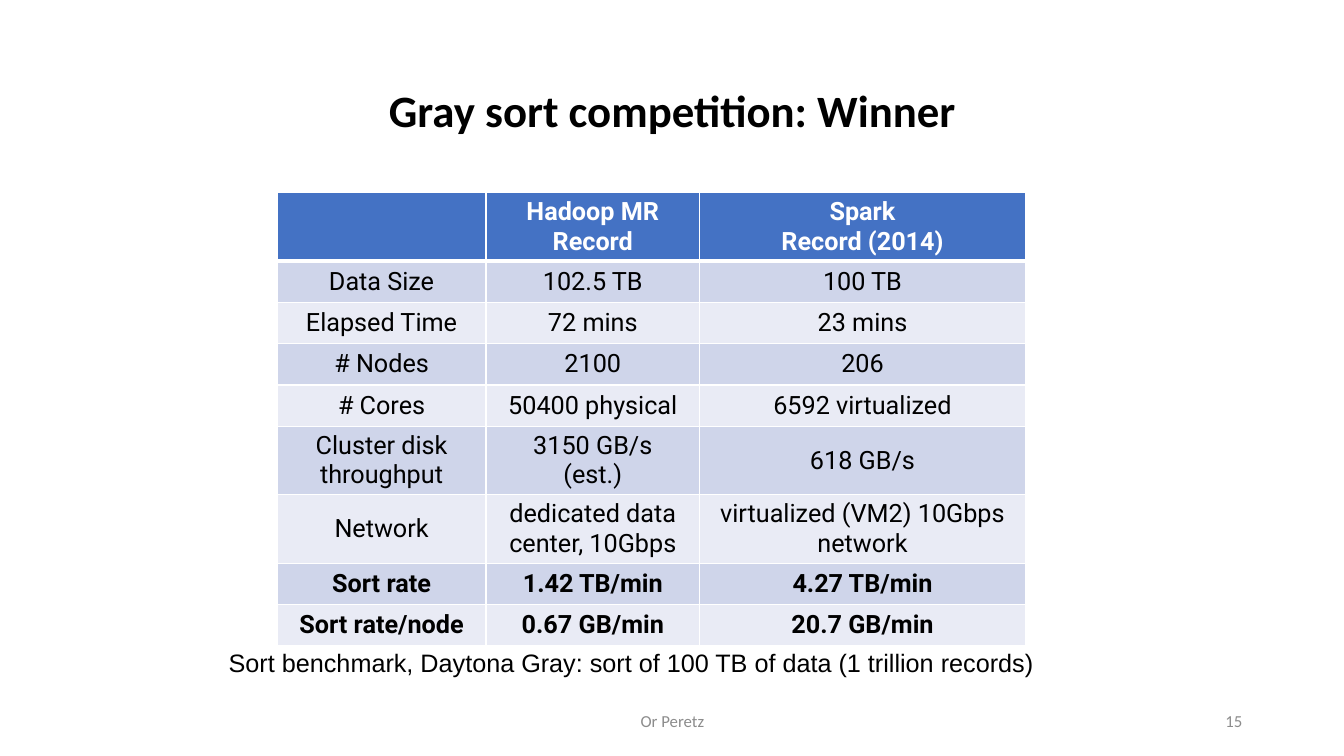
from dataclasses import dataclass

from lxml import etree
from pptx import Presentation
from pptx.dml.color import RGBColor
from pptx.enum import text
from pptx.oxml import ns
from pptx.util import Inches, Pt

BLACK = RGBColor(0x00, 0x00, 0x00)
WHITE = RGBColor(0xFF, 0xFF, 0xFF)
GRAY = RGBColor(0x8C, 0x8C, 0x8C)
HEADER_BLUE = RGBColor(0x44, 0x72, 0xC4)
BAND_FILLS = (RGBColor(0xCF, 0xD5, 0xEA), RGBColor(0xE9, 0xEB, 0xF5))

CENTER, LEFT, RIGHT = text.PP_ALIGN.CENTER, text.PP_ALIGN.LEFT, text.PP_ALIGN.RIGHT
MIDDLE, TOP = text.MSO_ANCHOR.MIDDLE, text.MSO_ANCHOR.TOP

COLUMN_WIDTHS = (2.07, 2.12, 3.23)
ONE_LINE, TWO_LINES = 0.41, 0.68
CELL_MARGIN = 0.04


@dataclass(frozen=True)
class Row:
    cells: tuple[str, str, str]
    height: float = ONE_LINE
    bold: bool = False


@dataclass(frozen=True)
class Label:
    content: str
    left: float
    top: float
    width: float
    size: int
    font_name: str
    color: RGBColor
    alignment: text.PP_ALIGN
    anchor: text.MSO_ANCHOR
    wrap: bool = True


ROWS = (
    Row(("", "Hadoop MR\nRecord", "Spark\nRecord (2014)"), TWO_LINES, True),
    Row(("Data Size", "102.5 TB", "100 TB")),
    Row(("Elapsed Time", "72 mins", "23 mins")),
    Row(("# Nodes", "2100", "206")),
    Row(("# Cores", "50400 physical", "6592 virtualized")),
    Row(("Cluster disk throughput", "3150 GB/s\n(est.)", "618 GB/s"), TWO_LINES),
    Row(("Network", "dedicated data center, 10Gbps",
         "virtualized (VM2) 10Gbps network"), TWO_LINES),
    Row(("Sort rate", "1.42 TB/min", "4.27 TB/min"), bold=True),
    Row(("Sort rate/node", "0.67 GB/min", "20.7 GB/min"), bold=True),
)

LABELS = (
    Label("Sort benchmark, Daytona Gray: sort of 100 TB of data (1 trillion records)",
          2.17, 6.37, 8.26, 18, "Arial", BLACK, LEFT, TOP, wrap=False),
    Label("15", 9.42, 6.95, 3, 12, "Calibri", GRAY, RIGHT, MIDDLE),
    Label("Or Peretz", 4.42, 6.95, 4.5, 12, "Calibri", GRAY, CENTER, MIDDLE),
)


def format_paragraph(paragraph, size: int, font_name: str, color: RGBColor,
                     alignment: text.PP_ALIGN, bold: bool = False) -> None:
    paragraph.alignment = alignment
    font = paragraph.font
    font.size, font.name, font.bold = Pt(size), font_name, bold
    font.color.rgb = color


def add_borders(cell, bottom_width: int) -> None:
    """Draw white cell borders, one point wide except at the bottom."""
    properties = cell._tc.get_or_add_tcPr()
    widths = {"a:lnL": 1, "a:lnR": 1, "a:lnT": 1, "a:lnB": bottom_width}
    for position, (tag, width) in enumerate(widths.items()):
        line = etree.Element(ns.qn(tag), w=str(Pt(width)))
        fill = etree.SubElement(line, ns.qn("a:solidFill"))
        etree.SubElement(fill, ns.qn("a:srgbClr"), val=str(WHITE))
        properties.insert(position, line)


def add_title(slide) -> None:
    title = slide.shapes.title
    title.left, title.top = Inches(0.92), Inches(0.4)
    title.width, title.height = Inches(11.5), Inches(1.45)
    title.text_frame.text = "Gray sort competition: Winner"
    title.text_frame.vertical_anchor = MIDDLE
    paragraph = title.text_frame.paragraphs[0]
    paragraph.line_spacing = 0.9
    format_paragraph(paragraph, 32, "Calibri", BLACK, CENTER, bold=True)


def add_results_table(slide) -> None:
    table = slide.shapes.add_table(
        len(ROWS), len(COLUMN_WIDTHS), Inches(2.75), Inches(1.91),
        Inches(sum(COLUMN_WIDTHS)), Inches(sum(row.height for row in ROWS))).table
    for column, width in zip(table.columns, COLUMN_WIDTHS):
        column.width = Inches(width)
    for row_index, row in enumerate(ROWS):
        table.rows[row_index].height = Inches(row.height)
        is_header = row_index == 0
        for column_index, content in enumerate(row.cells):
            cell = table.cell(row_index, column_index)
            cell.margin_left = cell.margin_right = Inches(CELL_MARGIN)
            cell.margin_top = cell.margin_bottom = Inches(CELL_MARGIN)
            cell.vertical_anchor = MIDDLE
            cell.fill.solid()
            cell.fill.fore_color.rgb = (
                HEADER_BLUE if is_header else BAND_FILLS[(row_index - 1) % 2])
            add_borders(cell, bottom_width=3 if is_header else 1)
            paragraph = cell.text_frame.paragraphs[0]
            paragraph.text = content
            format_paragraph(paragraph, 18, "Roboto",
                             WHITE if is_header else BLACK, CENTER, row.bold)


def add_label(slide, label: Label) -> None:
    frame = slide.shapes.add_textbox(
        Inches(label.left), Inches(label.top),
        Inches(label.width), Inches(0.4)).text_frame
    frame.word_wrap = label.wrap
    frame.vertical_anchor = label.anchor
    frame.text = label.content
    format_paragraph(frame.paragraphs[0], label.size, label.font_name,
                     label.color, label.alignment)


def main() -> None:
    presentation = Presentation()
    presentation.slide_width, presentation.slide_height = Inches(13.33), Inches(7.5)
    slide = presentation.slides.add_slide(presentation.slide_layouts.get_by_name("Title Only"))
    add_title(slide)
    add_results_table(slide)
    for label in LABELS:
        add_label(slide, label)
    presentation.save("out.pptx")


if __name__ == "__main__":
    main()
